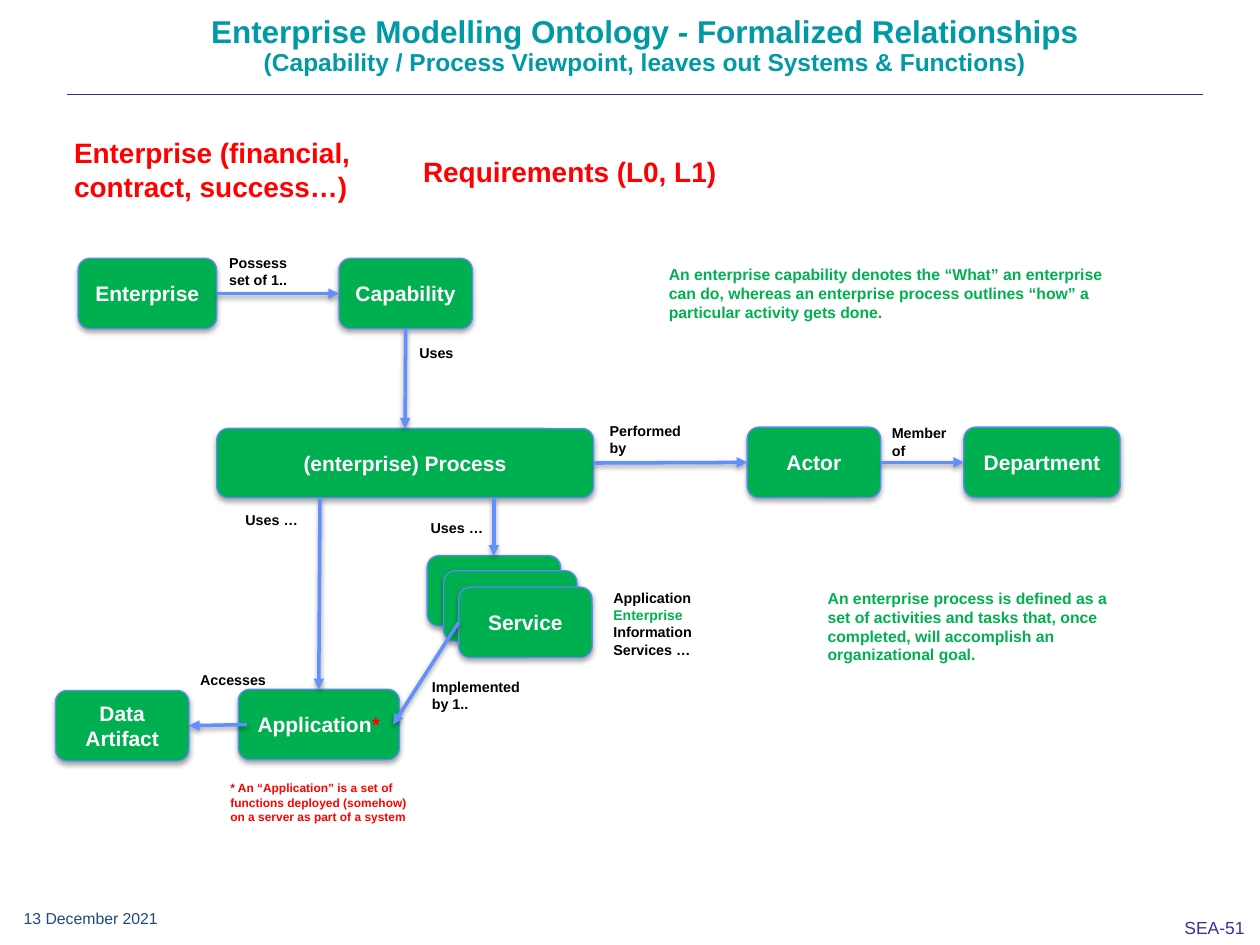
"""Build the enterprise ontology slide."""
import pptx
import pptx.util
import pptx.dml.color
import pptx.enum.shapes
import pptx.enum.text
import pptx.oxml
import pptx.oxml.ns

Inches, Pt = pptx.util.Inches, pptx.util.Pt
Align, Anchor = pptx.enum.text.PP_ALIGN, pptx.enum.text.MSO_ANCHOR
Fit = pptx.enum.text.MSO_AUTO_SIZE

HUES = {"teal": "0099A6", "green": "00B050", "edge": "5B8AFB", "arrow": "618FFD",
        "red": "FF0000", "black": "000000", "white": "FFFFFF", "navy": "333399",
        "date": "1F497D"}
BOTTOM, LEFT, RIGHT, TOP = 2, 1, 3, 0

TITLE = [("Enterprise Modelling Ontology - Formalized Relationships", 18),
         ("(Capability / Process Viewpoint, leaves out Systems & Functions)", 14)]

BOXES = {
    "process": (1.72, 3.4, 2.99, 0.55, [("(enterprise) Process", "white")]),
    "able": (2.69, 2.05, 1.06, 0.56, [("Capability", "white")]),
    "actor": (5.93, 3.39, 1.06, 0.56, [("Actor", "white")]),
    "firm": (0.62, 2.05, 1.1, 0.56, [("Enterprise", "white")]),
    "unit": (7.65, 3.39, 1.24, 0.56, [("Department", "white")]),
    "back": (3.39, 4.41, 1.06, 0.56, []),
    "middle": (3.52, 4.53, 1.06, 0.56, []),
    "service": (3.64, 4.66, 1.06, 0.56, [("Service", "white")]),
    "app": (1.89, 5.47, 1.28, 0.56, [("Application", "white"), ("*", "red")]),
    "data": (0.44, 5.48, 1.06, 0.56, [("Data Artifact", "white")]),
}

ARROWS = [
    (("firm", RIGHT), ("able", LEFT)),
    (("able", BOTTOM), ("process", TOP)),
    (("process", RIGHT), ("actor", LEFT)),
    (("actor", RIGHT), ("unit", LEFT)),
    ((2.54, 3.95), ("app", TOP)),
    ((3.92, 3.95), ("back", TOP)),
    (("service", LEFT), (3.12, 5.75)),
    ((1.96, 5.75), ("data", RIGHT)),
]

LABELS = [
    (4.74, 3.3, 0.91, 0.38, ["Performed", "by"]),
    (1.72, 1.97, 0.75, 0.38, ["Possess set of 1.."]),
    (3.33, 5.33, 0.93, 0.38, ["Implemented by 1.."]),
    (3.32, 4.07, 0.75, 0.24, ["Uses …"]),
    (3.23, 2.68, 0.84, 0.24, ["Uses"]),
    (6.98, 3.32, 0.91, 0.38, ["Member", "of"]),
    (1.85, 4.01, 0.84, 0.24, ["Uses …"]),
    (1.49, 5.28, 0.84, 0.24, ["Accesses"]),
]
KINDS = [("Application", 8.2, "black"), ("Enterprise", 8, "green"),
         ("Information", 8.2, "black"), ("Services …", 8.2, "black")]
NOTES = [
    (1.73, 6.15, 1.73, 0.44, 6.8, "red", 0,
     "* An “Application” is a set of functions deployed (somehow) on a server "
     "as part of a system"),
    (4.71, 2.05, 4.38, 0.56, 9, "green", 1,
     "An enterprise capability denotes the “What” an enterprise can do, whereas "
     "an enterprise process outlines “how” a particular activity gets done."),
    (5.97, 4.62, 2.92, 0.71, 9, "green", 1,
     "An enterprise process is defined as a set of activities and tasks that, "
     "once completed, will accomplish an organizational goal."),
    (0.49, 1.03, 2.73, 0.64, 16, "red", 0,
     "Enterprise (financial, contract, success…)"),
    (3.26, 1.18, 2.73, 0.37, 16, "red", 0, "Requirements (L0, L1)"),
]


def hue(name):
    return pptx.dml.color.RGBColor.from_string(HUES[name])


def apply(item, **form):
    for key, value in form.items():
        setattr(item, key, value)


def write(para, text, size, tint, bold=True):
    run = para.add_run()
    run.text = text
    apply(run.font, size=Pt(size), bold=bold, name="Arial")
    run.font.color.rgb = hue(tint)


def shade(item, alpha, dist):
    item._element.spPr.append(pptx.oxml.parse_xml(
        f'<a:effectLst {pptx.oxml.ns.nsdecls("a")}>'
        f'<a:outerShdw blurRad="{Pt(3.1)}" dist="{Pt(dist)}" dir="5400000" rotWithShape="0">'
        f'<a:srgbClr val="000000"><a:alpha val="{alpha}000"/></a:srgbClr>'
        '</a:outerShdw></a:effectLst>'))


def place(slide, spot, rows, level=0, bold=True, **form):
    frame = slide.shapes.add_textbox(*map(Inches, spot)).text_frame
    apply(frame, **{"word_wrap": True, "auto_size": Fit.SHAPE_TO_FIT_TEXT, **form})
    for num, row in enumerate(rows):
        para = frame.add_paragraph() if num else frame.paragraphs[0]
        if level:
            para.level = level
            para._p.get_or_add_pPr().set("marL", str(Inches(0.5)))
        write(para, *row, bold=bold)


def draw_box(slide, left, top, wide, high, runs):
    box = slide.shapes.add_shape(pptx.enum.shapes.MSO_SHAPE.ROUNDED_RECTANGLE,
                                 *map(Inches, (left, top, wide, high)))
    box.fill.solid()
    box.fill.fore_color.rgb = hue("green")
    box.line.color.rgb = hue("edge")
    box.line.width = Pt(0.75)
    shade(box, 35, 1.8)
    apply(box.text_frame, word_wrap=True, vertical_anchor=Anchor.MIDDLE)
    para = box.text_frame.paragraphs[0]
    para.alignment = Align.CENTER
    for text, tint in runs:
        write(para, text, 12, tint)
    return box


def draw_line(slide, start, end, tint, width):
    line = slide.shapes.add_connector(pptx.enum.shapes.MSO_CONNECTOR.STRAIGHT,
                                      *map(Inches, start + end))
    line.line.color.rgb = hue(tint)
    line.line.width = Pt(width)
    return line


def find(end):
    if end[0] not in BOXES:
        return end
    left, top, wide, high, _ = BOXES[end[0]]
    across, down = {TOP: (0.5, 0), LEFT: (0, 0.5),
                    BOTTOM: (0.5, 1), RIGHT: (1, 0.5)}[end[1]]
    return left + across * wide, top + down * high


def draw_arrow(slide, boxes, start, end):
    line = draw_line(slide, find(start), find(end), "arrow", 2)
    for join, (name, side) in ((line.begin_connect, start), (line.end_connect, end)):
        if name in boxes:
            join(boxes[name], side)
    line.line._get_or_add_ln().append(pptx.oxml.parse_xml(
        f'<a:tailEnd {pptx.oxml.ns.nsdecls("a")} type="triangle"/>'))
    shade(line, 38, 1.6)


def main():
    deck = pptx.Presentation()
    apply(deck, slide_width=Inches(10), slide_height=Inches(7.5))
    slide = deck.slides.add_slide(deck.slide_layouts[5])

    rule = draw_line(slide, (0.53, 0.75), (9.55, 0.75), "navy", 0.13)
    rule._element.spPr.append(pptx.oxml.parse_xml(
        f'<a:effectLst {pptx.oxml.ns.nsdecls("a")}/>'))

    title = slide.shapes.title
    apply(title, left=Inches(0.62), top=Inches(0.08),
          width=Inches(9), height=Inches(0.8))
    apply(title.text_frame, vertical_anchor=Anchor.TOP, auto_size=Fit.NONE)
    para = title.text_frame.paragraphs[0]
    apply(para, alignment=Align.CENTER, line_spacing=0.9)
    for num, (text, size) in enumerate(TITLE):
        if num:
            para.add_line_break()
        write(para, text, size, "teal")

    boxes = {name: draw_box(slide, *data) for name, data in BOXES.items()}
    for start, end in ARROWS:
        draw_arrow(slide, boxes, start, end)
    for *spot, rows in LABELS:
        place(slide, spot, [(row, 8.2, "black") for row in rows])
    place(slide, (4.77, 4.63, 0.83, 0.67), KINDS)
    for *spot, size, tint, level, text in NOTES:
        place(slide, spot, [(text, size, tint)], level)
    place(slide, (0.09, 7.15, 1.3, 0.28), [("13 December 2021", 9, "date")], bold=False,
          word_wrap=False, auto_size=Fit.NONE, vertical_anchor=Anchor.MIDDLE)
    place(slide, (9.31, 7.24, 0.68, 0.26), [("SEA-51", 10, "navy")], bold=False,
          word_wrap=False, margin_left=Inches(0.09), margin_right=Inches(0.09),
          margin_top=Inches(0.04), margin_bottom=Inches(0.04))
    deck.save("out.pptx")


if __name__ == "__main__":
    main()
